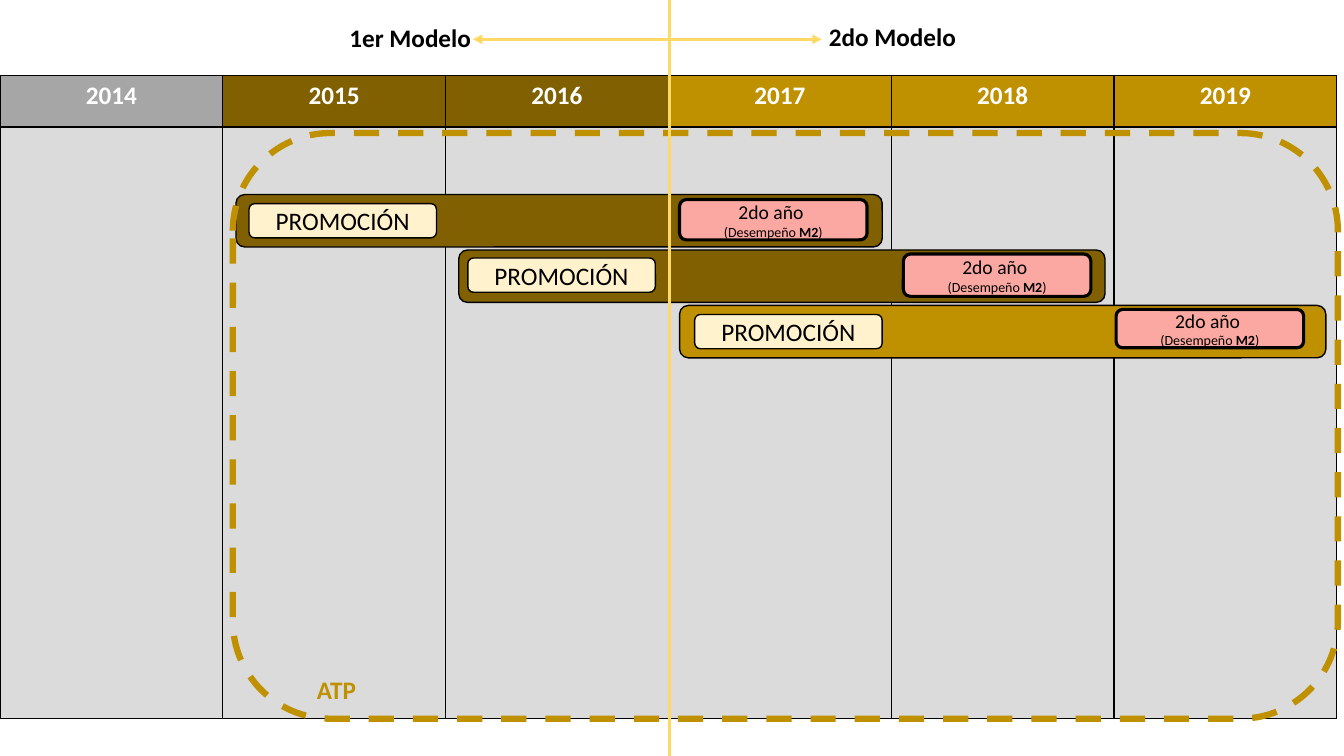
from dataclasses import dataclass

from lxml import etree
from pptx import Presentation
from pptx.dml.color import RGBColor
from pptx.enum.dml import MSO_LINE
from pptx.enum.shapes import MSO_CONNECTOR, MSO_SHAPE
from pptx.enum.text import MSO_ANCHOR, MSO_AUTO_SIZE, PP_ALIGN
from pptx.oxml.ns import qn
from pptx.util import Pt

EMU_PER_PX = 9144  # 100 px to the inch

BLACK = RGBColor(0x00, 0x00, 0x00)
WHITE = RGBColor(0xFF, 0xFF, 0xFF)
GREY = RGBColor(0xA6, 0xA6, 0xA6)
LIGHT_GREY = RGBColor(0xDB, 0xDB, 0xDB)
BROWN = RGBColor(0x80, 0x60, 0x00)
GOLD = RGBColor(0xBF, 0x90, 0x00)
YELLOW = RGBColor(0xFF, 0xD9, 0x66)
CREAM = RGBColor(0xFF, 0xF2, 0xCC)
PINK = RGBColor(0xFC, 0xA8, 0xA2)

ROUNDED = MSO_SHAPE.ROUNDED_RECTANGLE
STRAIGHT = MSO_CONNECTOR.STRAIGHT
DASH = MSO_LINE.DASH
CENTER, RIGHT = PP_ALIGN.CENTER, PP_ALIGN.RIGHT
MIDDLE = MSO_ANCHOR.MIDDLE
GROW = MSO_AUTO_SIZE.SHAPE_TO_FIT_TEXT

HEADING = {"name": "Calibri", "size": Pt(18), "bold": True}
PROMOTION = {"name": "Calibri", "size": Pt(18), "bold": False}
YEAR = {"name": "Calibri", "size": Pt(14), "bold": False}
DETAIL = {"name": "Calibri", "size": Pt(10), "bold": False}
DETAIL_BOLD = DETAIL | {"bold": True}


@dataclass(frozen=True)
class Box:
    left: int
    top: int
    width: int
    height: int

    def emu(self):
        return [px(side) for side in (self.left, self.top, self.width, self.height)]


@dataclass(frozen=True)
class Cohort:
    bar: Box
    color: RGBColor
    promotion: Box
    second_year: Box


@dataclass(frozen=True)
class Label:
    text: str
    box: Box
    color: RGBColor


@dataclass(frozen=True)
class Line:
    start: tuple[int, int]
    end: tuple[int, int]
    arrow: bool


YEARS = {"2014": GREY, "2015": BROWN, "2016": BROWN,
         "2017": GOLD, "2018": GOLD, "2019": GOLD}
COLUMN_WIDTH = 221
ROW_HEIGHTS = (51, 587)

COHORTS = (
    Cohort(Box(234, 193, 641, 52), BROWN, Box(247, 202, 186, 34), Box(674, 198, 186, 40)),
    Cohort(Box(455, 248, 641, 52), BROWN, Box(464, 256, 186, 34), Box(896, 252, 186, 42)),
    Cohort(Box(674, 303, 641, 52), GOLD, Box(689, 312, 186, 34), Box(1107, 307, 186, 38)),
)
LABELS = (
    Label("ATP", Box(301, 664, 62, 40), GOLD),
    Label("1er Modelo", Box(287, 17, 190, 40), BLACK),
    Label("2do Modelo", Box(768, 16, 190, 40), BLACK),
)
LINES = (
    Line((666, 39), (469, 39), True),
    Line((664, 750), (664, 0), False),
    Line((644, 39), (815, 39), True),
)
PROMOTION_TEXT = [[("PROMOCIÓN", PROMOTION)]]
SECOND_YEAR_TEXT = [
    [("2do año ", YEAR)],
    [("(Desempeño ", DETAIL), ("M2", DETAIL_BOLD), (")", DETAIL)],
]


def px(length: int) -> int:
    return length * EMU_PER_PX


def write(frame, paragraphs: list, color: RGBColor, alignment=CENTER) -> None:
    """Fill a text frame with paragraphs made of (text, format) runs."""
    for index, runs in enumerate(paragraphs):
        paragraph = frame.add_paragraph() if index else frame.paragraphs[0]
        paragraph.alignment = alignment
        for text, text_format in runs:
            run = paragraph.add_run()
            run.text = text
            run.font.color.rgb = color
            for name, value in text_format.items():
                setattr(run.font, name, value)


def add_cell_borders(cell) -> None:
    properties = cell._tc.get_or_add_tcPr()
    for side in ("a:lnL", "a:lnR", "a:lnT", "a:lnB"):
        border = etree.SubElement(properties, qn(side), w=str(Pt(1)))
        fill = etree.SubElement(border, qn("a:solidFill"))
        etree.SubElement(fill, qn("a:srgbClr"), val=str(BLACK))


def add_calendar(slide) -> None:
    box = Box(0, 75, COLUMN_WIDTH * len(YEARS), sum(ROW_HEIGHTS))
    table = slide.shapes.add_table(len(ROW_HEIGHTS), len(YEARS), *box.emu()).table
    table.first_row = table.horz_banding = False
    for row, height in zip(table.rows, ROW_HEIGHTS):
        row.height = px(height)
    for column, (year, color) in enumerate(YEARS.items()):
        table.columns[column].width = px(COLUMN_WIDTH)
        for row, fill_color in enumerate((color, LIGHT_GREY)):
            cell = table.cell(row, column)
            add_cell_borders(cell)
            cell.fill.solid()
            cell.fill.fore_color.rgb = fill_color
        write(table.cell(0, column).text_frame, [[(year, HEADING)]], WHITE)


def add_rounded(slide, box: Box, fill: RGBColor | None, line: RGBColor = BLACK,
                weight: float = 1, text: list | None = None):
    shape = slide.shapes.add_shape(ROUNDED, *box.emu())
    shape.shadow.inherit = False
    if fill is None:
        shape.fill.background()
    else:
        shape.fill.solid()
        shape.fill.fore_color.rgb = fill
    shape.line.color.rgb = line
    shape.line.width = Pt(weight)
    if text:
        shape.text_frame.word_wrap = True
        shape.text_frame.vertical_anchor = MIDDLE
        write(shape.text_frame, text, BLACK)
    return shape


def add_label(slide, label: Label) -> None:
    frame = slide.shapes.add_textbox(*label.box.emu()).text_frame
    frame.word_wrap = True
    frame.auto_size = GROW
    write(frame, [[(label.text, HEADING)]], label.color, RIGHT)


def add_line(slide, line: Line) -> None:
    ends = [px(value) for value in line.start + line.end]
    connector = slide.shapes.add_connector(STRAIGHT, *ends)
    connector.line.color.rgb = YELLOW
    connector.line.width = Pt(2.25)
    if line.arrow:
        etree.SubElement(connector.line._get_or_add_ln(), qn("a:tailEnd"), type="triangle")
    etree.SubElement(connector._element.spPr, qn("a:effectLst"))


def main() -> None:
    presentation = Presentation()
    presentation.slide_width = px(1333)
    presentation.slide_height = px(750)
    slide = presentation.slides.add_slide(presentation.slide_layouts[6])

    add_calendar(slide)
    for cohort in COHORTS:
        add_rounded(slide, cohort.bar, cohort.color)
    atp_frame = add_rounded(slide, Box(231, 132, 1096, 581), None, GOLD, 4.5)
    atp_frame.line.dash_style = DASH
    for line in LINES:
        add_line(slide, line)
    for label in LABELS:
        add_label(slide, label)
    for cohort in COHORTS:
        add_rounded(slide, cohort.promotion, CREAM, text=PROMOTION_TEXT)
        add_rounded(slide, cohort.second_year, PINK, weight=2.25, text=SECOND_YEAR_TEXT)

    presentation.save("out.pptx")


if __name__ == "__main__":
    main()
